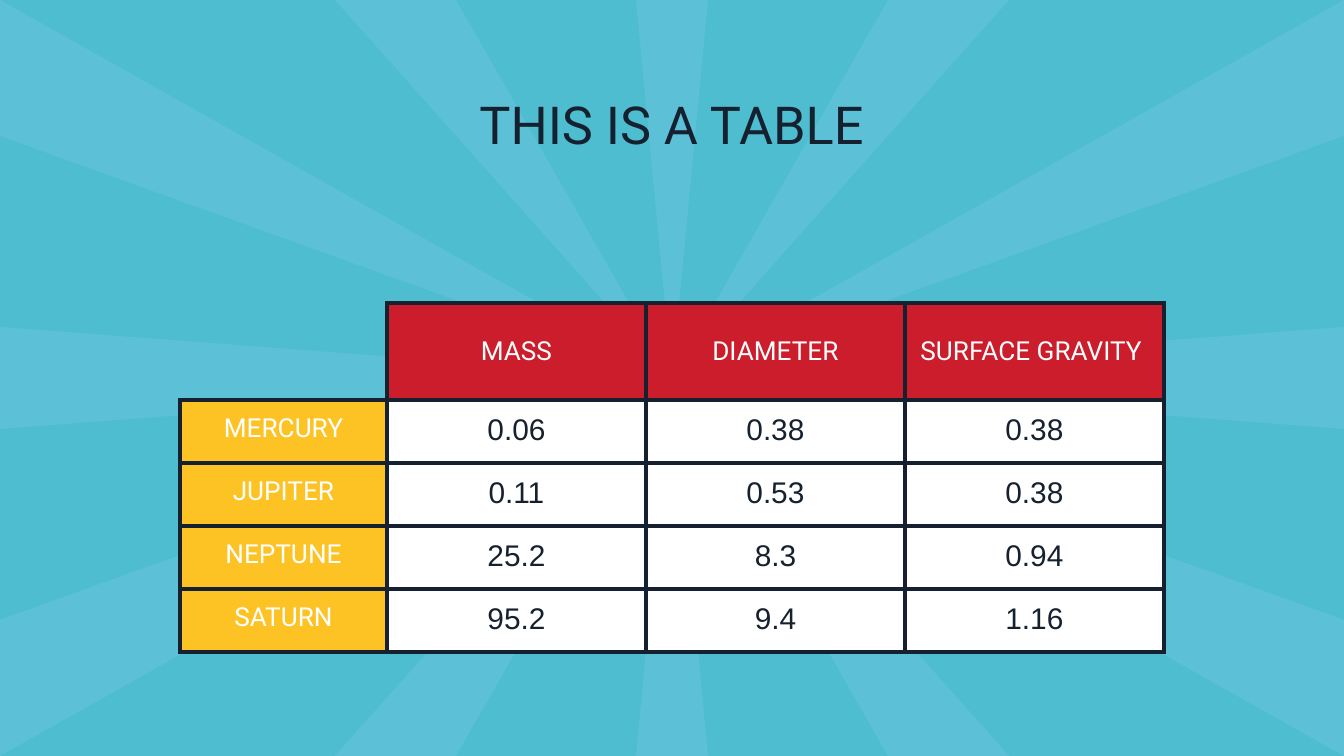
from dataclasses import dataclass
from lxml.etree import SubElement
from pptx import Presentation
from pptx.dml.color import RGBColor as Color
from pptx.enum.text import MSO_ANCHOR as Anchor, MSO_AUTO_SIZE as AutoSize, PP_ALIGN as Align
from pptx.oxml.ns import qn
from pptx.util import Inches, Pt

TITLE = "THIS IS A TABLE"
HEADINGS = ["", "MASS", "DIAMETER", "SURFACE GRAVITY "]
PLANETS = [
    ("MERCURY", "0.06", "0.38", "0.38"),
    ("JUPITER", "0.11", "0.53", "0.38"),
    ("NEPTUNE", "25.2", "8.3", "0.94"),
    ("SATURN", "95.2", "9.4", "1.16"),
]

WIDTH, HEIGHT = 1344, 756
CENTER_X, CENTER_Y = WIDTH // 2, HEIGHT // 2
BOTH = (1, -1)
RAYS = [
    ((-36, -378), (36, -378), (1,), BOTH),
    ((-337, -378), (-216, -378), BOTH, BOTH),
    ((-672, -378), (-672, -242), BOTH, BOTH),
    ((-672, -51), (-672, 51), BOTH, (1,)),
]
TITLE_BOX = (185, 79, 973, 147)
TABLE_LEFT, TABLE_TOP = 180, 303
COLUMNS = [207, 259, 259, 259]
ROWS = [97] + [63] * len(PLANETS)
MARGIN = Inches(0.1)


@dataclass(frozen=True)
class Theme:
    sky: str = "4EBDCF"
    ray: str = "5CC1D6"
    ink: str = "162130"
    white: str = "FFFFFF"
    red: str = "CC1D2D"
    yellow: str = "FDC324"
    label_font: str = "Roboto"
    value_font: str = "Arial"
    title_size: int = 28
    label_size: int = 14
    value_size: int = 16
    border: float = 2.25


THEME = Theme()


def px(length):
    return round(length * 914400 / 134.4)


def paint(fill, color):
    fill.solid()
    fill.fore_color.rgb = Color.from_string(color)


def write(frame, text, font, size, color):
    frame.text = text
    para = frame.paragraphs[0]
    para.alignment = Align.CENTER
    for span in para.runs:
        span.font.name = font
        span.font.size = Pt(size)
        span.font.bold = False
        span.font.color.rgb = Color.from_string(color)


def draw_rays(page):
    for start, end, flips_x, flips_y in RAYS:
        for flip_x in flips_x:
            for flip_y in flips_y:
                edge = [(CENTER_X + x * flip_x, CENTER_Y + y * flip_y) for x, y in (start, end)]
                builder = page.shapes.build_freeform(CENTER_X, CENTER_Y, scale=px(1000) / 1000)
                builder.add_line_segments(edge, close=True)
                ray = builder.convert_to_shape()
                ray.shadow.inherit = False
                ray.line.fill.background()
                paint(ray.fill, THEME.ray)


def draw_title(page):
    title = page.shapes.title
    title.left, title.top, title.width, title.height = map(px, TITLE_BOX)
    frame = title.text_frame
    frame.auto_size = AutoSize.NONE
    frame.vertical_anchor = Anchor.TOP
    frame.margin_left = frame.margin_right = frame.margin_top = frame.margin_bottom = MARGIN
    write(frame, TITLE, THEME.label_font, THEME.title_size, THEME.ink)


def draw_borders(cell, visible):
    properties = cell._tc.get_or_add_tcPr()
    for side in "LRTB":
        line = SubElement(properties, qn(f"a:ln{side}"), w=str(Pt(THEME.border)))
        if side in visible:
            solid = SubElement(line, qn("a:solidFill"))
            SubElement(solid, qn("a:srgbClr"), val=THEME.ink)
        else:
            SubElement(line, qn("a:noFill"))


def format_cell(cell, text, row, column):
    cell.margin_left = cell.margin_right = cell.margin_top = cell.margin_bottom = MARGIN
    cell.vertical_anchor = Anchor.TOP if row else Anchor.MIDDLE
    draw_borders(cell, "LRTB" if row or column else "RB")
    if not row and not column:
        cell.fill.background()
        return
    if row and column:
        paint(cell.fill, THEME.white)
        write(cell.text_frame, text, THEME.value_font, THEME.value_size, THEME.ink)
    else:
        paint(cell.fill, THEME.yellow if row else THEME.red)
        write(cell.text_frame, text, THEME.label_font, THEME.label_size, THEME.white)


def draw_table(page):
    area = map(px, (TABLE_LEFT, TABLE_TOP, sum(COLUMNS), sum(ROWS)))
    table = page.shapes.add_table(len(ROWS), len(COLUMNS), *area).table
    table.first_row = table.horz_banding = False
    for column, width in zip(table.columns, COLUMNS):
        column.width = px(width)
    for row, height in zip(table.rows, ROWS):
        row.height = px(height)
    for row, texts in enumerate([HEADINGS, *PLANETS]):
        for column, text in enumerate(texts):
            format_cell(table.cell(row, column), text, row, column)


def main():
    deck = Presentation()
    deck.slide_width, deck.slide_height = px(WIDTH), px(HEIGHT)
    page = deck.slides.add_slide(deck.slide_layouts.get_by_name("Title Only"))
    paint(page.background.fill, THEME.sky)
    draw_rays(page)
    draw_title(page)
    page.shapes._spTree.append(page.shapes.title._element)
    draw_table(page)
    deck.save("out.pptx")


if __name__ == "__main__":
    main()
